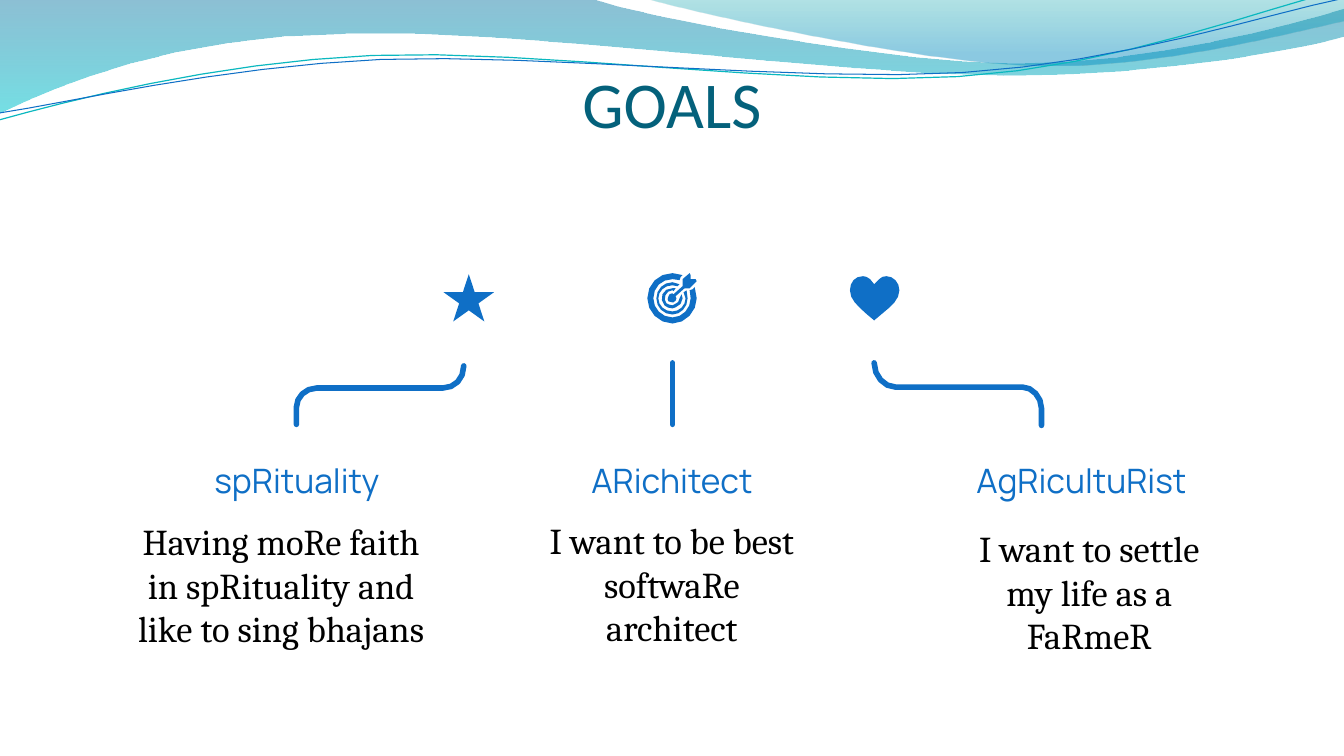
from lxml import etree
from pptx import Presentation
from pptx.dml.color import RGBColor
from pptx.enum import shapes, text
from pptx.oxml import ns
from pptx.util import Inches, Pt

BLUE = RGBColor(0x0F, 0x6F, 0xC6)
TEAL = RGBColor(0x0A, 0xB8, 0xBF)
TITLE_TEAL = RGBColor(0x04, 0x61, 0x7B)
BLACK = RGBColor(0, 0, 0)

TITLE = "GOALS"
GOALS = [
    ("spRituality", (1.61, 2.67),
     "Having moRe faith in spRituality and like to sing bhajans", (1.3, 5.15, 2.98, 1.17)),
    ("ARichitect", (5.33, 2.67),
     "I want to be best softwaRe architect", (5.33, 5.14, 2.67, 0.75)),
    ("AgRicultuRist", (9.05, 3.35),
     "I want to settle my life as a FaRmeR", (9.47, 5.22, 2.67, 0.75)),
]
WAVES = [
    ("M 0 0 L 5.87 -0.01 C 6.34 0.17 8.85 0.63 10.11 0.63 C 11.38 0.63 12.78 0.26 13.33 0.09 "
     "L 13.35 0.36 C 13.11 0.44 11.6 0.76 9.94 0.75 C 8.29 0.75 5.09 0.28 3.43 0.34 "
     "C 1.72 0.36 0.61 0.83 -0.01 1.13 Z",
     [(0, RGBColor(0x00, 0x74, 0xA1), 45), (1, RGBColor(0x00, 0xC6, 0xCF), 55)]),
    ("M 6.39 -0.01 C 6.79 0.11 9.09 0.62 10.25 0.65 C 11.41 0.69 12.82 0.32 13.33 0.21 "
     "L 13.33 0 Z",
     [(0, RGBColor(0x00, 0xA1, 0xA9), 30), (0.8, RGBColor(0x00, 0x8B, 0xBF), 45)]),
]
STROKES = [
    ("M -0.01 1.19 C 0.64 1.01 2.11 0.62 3.69 0.55 C 5.27 0.48 7.9 0.87 9.5 0.76 "
     "C 11.1 0.66 12.52 0.08 13.31 -0.1", TEAL, 0.85),
    ("M 0 1.12 C 0.63 1.03 2.18 0.66 3.78 0.59 C 5.37 0.53 7.96 0.82 9.55 0.72 "
     "C 11.15 0.62 12.55 0.14 13.34 -0.02", BLUE, 0.75),
    ("M 2.94 4.21 L 2.94 4.04 C 2.94 3.94 3.03 3.85 3.14 3.85 L 4.39 3.85 "
     "C 4.51 3.85 4.6 3.76 4.6 3.63", BLUE, 4),
    ("M 8.67 3.6 C 8.67 3.73 8.77 3.84 8.88 3.84 L 10.14 3.84 "
     "C 10.24 3.84 10.33 3.94 10.33 4.05 L 10.33 4.22", BLUE, 4),
]
MIDDLE_STEM = (6.67, 3.6, 4.21)
STAR_BOX = (4.4, 2.72, 0.5, 0.47)
TARGET = [
    "M 6.67 2.8 C 6.58 2.8 6.51 2.87 6.51 2.96 C 6.51 3.05 6.58 3.12 6.67 3.12 "
    "C 6.75 3.12 6.82 3.05 6.82 2.96 L 6.81 2.88 L 6.78 2.9 L 6.8 2.96 "
    "C 6.8 3.03 6.74 3.09 6.67 3.09 C 6.59 3.09 6.53 3.03 6.53 2.96 "
    "C 6.53 2.89 6.59 2.83 6.67 2.83 L 6.72 2.84 L 6.74 2.82 Z",
    "M 6.67 2.86 C 6.62 2.86 6.59 2.88 6.57 2.92 C 6.56 2.96 6.56 3 6.59 3.03 "
    "C 6.61 3.05 6.64 3.06 6.67 3.06 L 6.7 3.05 C 6.74 3.04 6.77 3 6.77 2.96 "
    "L 6.76 2.92 L 6.74 2.96 C 6.74 2.99 6.72 3.01 6.69 3.02 L 6.67 3.03 "
    "C 6.65 3.03 6.63 3.02 6.61 3.01 C 6.59 2.99 6.59 2.96 6.6 2.93 "
    "C 6.61 2.9 6.64 2.88 6.67 2.88 L 6.68 2.89 L 6.7 2.86 Z",
    "M 6.67 2.71 C 6.53 2.71 6.42 2.82 6.42 2.96 C 6.42 3.09 6.53 3.21 6.67 3.21 "
    "C 6.8 3.21 6.91 3.09 6.91 2.96 L 6.89 2.85 L 6.87 2.87 L 6.84 2.88 L 6.85 2.96 "
    "C 6.85 3.06 6.77 3.15 6.67 3.15 C 6.56 3.15 6.48 3.06 6.48 2.96 "
    "C 6.48 2.85 6.56 2.77 6.67 2.77 L 6.74 2.78 L 6.75 2.75 L 6.77 2.73 Z",
    "M 6.84 2.71 L 6.77 2.77 L 6.77 2.84 L 6.68 2.92 L 6.67 2.91 "
    "C 6.65 2.91 6.63 2.92 6.63 2.94 C 6.62 2.96 6.62 2.98 6.63 2.99 L 6.67 3 L 6.68 3 "
    "C 6.7 2.99 6.71 2.97 6.71 2.96 L 6.7 2.94 L 6.79 2.86 L 6.84 2.86 "
    "L 6.91 2.79 L 6.9 2.77 L 6.85 2.77 L 6.85 2.73 Z",
]
HEART = ("M 8.56 2.74 C 8.48 2.74 8.43 2.8 8.43 2.88 C 8.43 2.97 8.5 3.03 8.6 3.12 "
         "L 8.66 3.17 L 8.67 3.18 L 8.68 3.17 L 8.74 3.12 C 8.85 3.03 8.92 2.97 8.92 2.88 "
         "C 8.92 2.8 8.86 2.74 8.79 2.74 C 8.76 2.74 8.74 2.75 8.72 2.77 L 8.67 2.82 "
         "L 8.63 2.77 C 8.61 2.75 8.58 2.74 8.56 2.74 Z")


def trace(outline):
    """Turn an outline of moves, lines and cubic curves into points in inches."""
    tokens = iter(outline.split())
    points = []
    for command in tokens:
        if command == "Z":
            break
        ends = [(float(next(tokens)), float(next(tokens)))
                for _ in range(3 if command == "C" else 1)]
        if command != "C":
            points += ends
            continue
        controls = [points[-1]] + ends
        span = max(abs(a - b) for a, b in zip(controls[0], controls[3]))
        steps = 8 if span > 0.5 else 4 if span > 0.12 else 2
        for step in range(1, steps + 1):
            t = step / steps
            weights = ((1 - t) ** 3, 3 * t * (1 - t) ** 2, 3 * t * t * (1 - t), t ** 3)
            points.append(tuple(sum(w * c[axis] for w, c in zip(weights, controls))
                                for axis in (0, 1)))
    return points


def draw(slide, outline):
    """Add an outline as an unfilled freeform without a line."""
    start, *rest = [(Inches(x), Inches(y)) for x, y in trace(outline)]
    builder = slide.shapes.build_freeform(*start)
    builder.add_line_segments(rest, close=outline.endswith("Z"))
    shape = builder.convert_to_shape()
    shape.shadow.inherit = False
    shape.fill.background()
    shape.line.fill.background()
    return shape


def stroke(line, color, width):
    """Give a line its colour, width and round ends."""
    line.color.rgb = color
    line.width = Pt(width)
    line._get_or_add_ln().set("cap", "rnd")


def write(frame, words, size, font, color, anchor=text.MSO_ANCHOR.TOP):
    """Write one centred run in a frame without margins."""
    frame.word_wrap = True
    frame.auto_size = text.MSO_AUTO_SIZE.NONE
    frame.vertical_anchor = anchor
    frame.margin_left = frame.margin_right = frame.margin_top = frame.margin_bottom = 0
    paragraph = frame.paragraphs[0]
    paragraph.alignment = text.PP_ALIGN.CENTER
    run = paragraph.add_run()
    run.text = words
    run.font.size = Pt(size)
    run.font.name = font
    run.font.color.rgb = color


def main():
    """Build the goals slide."""
    deck = Presentation()
    deck.slide_width, deck.slide_height = Inches(13.33), Inches(7.5)
    slide = deck.slides.add_slide(deck.slide_layouts[5])

    for outline, stops in WAVES:
        wave = draw(slide, outline)
        wave.fill.gradient()
        wave.fill.gradient_angle = 270
        for stop, (position, color, _) in zip(wave.fill.gradient_stops, stops):
            stop.position = position
            stop.color.rgb = color
        for tint, (_, _, opacity) in zip(wave.element.iter(ns.qn("a:srgbClr")), stops):
            etree.SubElement(tint, ns.qn("a:alpha")).set("val", str(opacity * 1000))

    for outline, color, width in STROKES:
        stroke(draw(slide, outline).line, color, width)
    x, top, bottom = map(Inches, MIDDLE_STEM)
    stem = slide.shapes.add_connector(shapes.MSO_CONNECTOR.STRAIGHT, x, top, x, bottom)
    stroke(stem.line, BLUE, 4)
    etree.SubElement(stem.element.spPr, ns.qn("a:effectLst"))

    title = slide.shapes.title
    title.left, title.top, title.width, title.height = map(Inches, (1.04, 0.63, 11.25, 0.89))
    write(title.text_frame, TITLE, 46.7, "Calibri", TITLE_TEAL)

    for heading, (left, width), wish, wish_box in GOALS:
        label = slide.shapes.add_textbox(*map(Inches, (left, 4.48, width, 0.48)))
        write(label.text_frame, heading, 24, "Manrope", BLUE, text.MSO_ANCHOR.BOTTOM)
        body = slide.shapes.add_textbox(*map(Inches, wish_box))
        write(body.text_frame, wish, 26, "Cambria", BLACK)

    star = slide.shapes.add_shape(shapes.MSO_SHAPE.STAR_5_POINT, *map(Inches, STAR_BOX))
    star.shadow.inherit = False
    star.line.fill.background()
    for icon in [star] + [draw(slide, outline) for outline in [*TARGET, HEART]]:
        icon.fill.solid()
        icon.fill.fore_color.rgb = BLUE

    deck.save("out.pptx")


if __name__ == "__main__":
    main()
